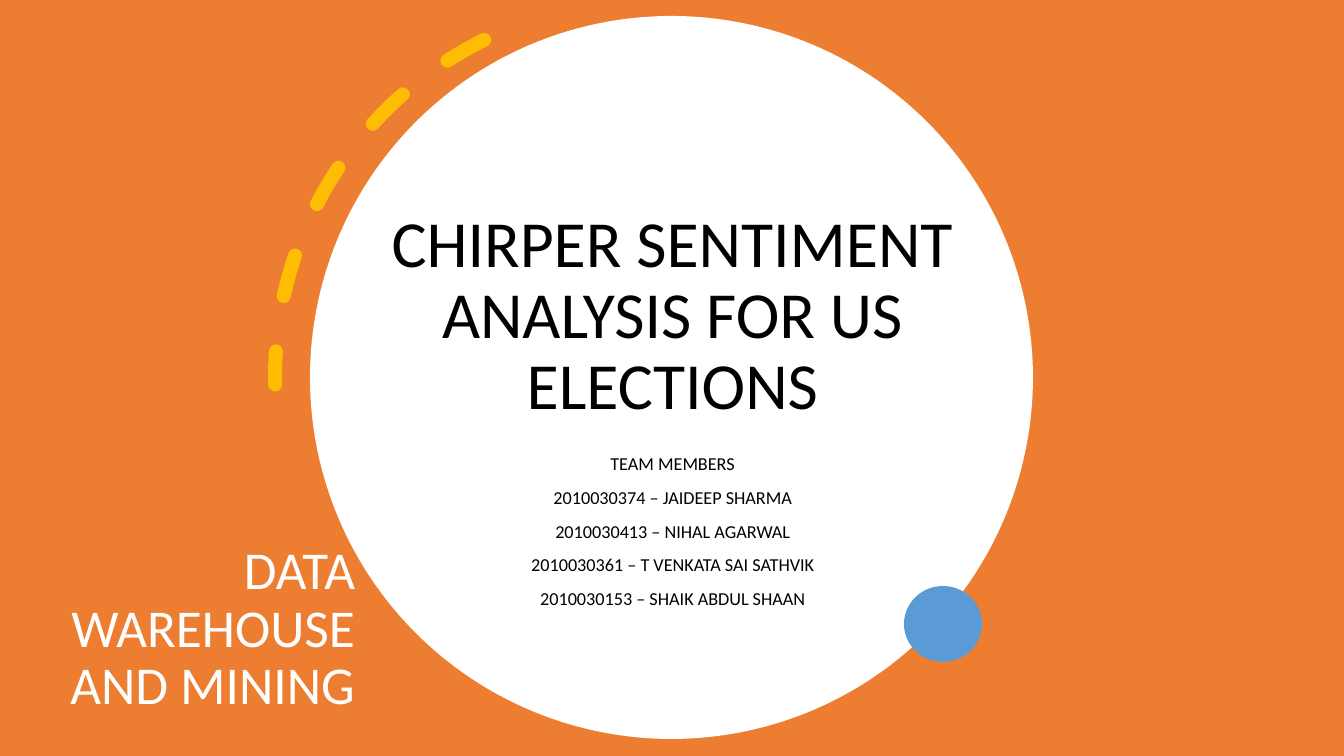
from lxml import etree
from pptx import Presentation
from pptx import util as u
from pptx.dml.color import RGBColor
from pptx.enum import dml, shapes, text
from pptx.oxml import ns

PX = 12192000 / 1344
FONT = "Calibri"
ORANGE = RGBColor(0xED, 0x7D, 0x31)
GOLD = RGBColor(0xFF, 0xC0, 0x00)
BLUE = RGBColor(0x5B, 0x9B, 0xD5)
WHITE = RGBColor(0xFF, 0xFF, 0xFF)
BLACK = RGBColor(0x00, 0x00, 0x00)

TITLE = ["CHIRPER SENTIMENT ANALYSIS FOR US ELECTIONS"]
TEAM = [
    "TEAM MEMBERS",
    "2010030374 – JAIDEEP SHARMA",
    "2010030413 – NIHAL AGARWAL",
    "2010030361 – T VENKATA SAI SATHVIK",
    "2010030153 – SHAIK ABDUL SHAAN",
]
COURSE = ["DATA WAREHOUSE AND MINING"]


def px(*lengths):
    """Turn pixel lengths into EMU."""
    return [u.Emu(round(length * PX)) for length in lengths]


def add_filled(slide, preset, box, colour):
    """Add a plain filled shape without an outline."""
    filled = slide.shapes.add_shape(preset, *px(*box))
    filled.shadow.inherit = False
    filled.fill.solid()
    filled.fill.fore_color.rgb = colour
    filled.line.fill.background()


def add_dashed_arc(slide, box, colour):
    """Add the thick dashed arc with rounded ends."""
    arc = slide.shapes.add_shape(shapes.MSO_SHAPE.ARC, *px(*box))
    arc.shadow.inherit = False
    arc.adjustments[0] = 162
    arc.adjustments[1] = 200.93
    arc.rotation = 153.7
    arc.fill.background()
    arc.line.width = u.Pt(10)
    arc.line.color.rgb = colour
    arc.line.dash_style = dml.MSO_LINE.DASH
    properties = arc.element.spPr
    properties.find(ns.qn("a:xfrm")).set("flipV", "1")
    outline = properties.find(ns.qn("a:ln"))
    outline.set("cap", "rnd")
    tint = outline.find(".//" + ns.qn("a:srgbClr"))
    etree.SubElement(tint, ns.qn("a:alpha")).set("val", "95000")


def add_text(slide, box, lines, size, colour, align, anchor, before=0, after=0):
    """Add a wrapped text box with one paragraph per line."""
    frame = slide.shapes.add_textbox(*px(*box)).text_frame
    frame.word_wrap = True
    frame.vertical_anchor = anchor
    frame.text = "\n".join(lines)
    for index, paragraph in enumerate(frame.paragraphs):
        paragraph.alignment = align
        paragraph.line_spacing = 0.9
        paragraph.space_before = u.Pt(before if index else 0)
        paragraph.space_after = u.Pt(after)
        for run in paragraph.runs:
            run.font.name = FONT
            run.font.size = u.Pt(size)
            run.font.color.rgb = colour


def main():
    """Build the title slide and save it."""
    deck = Presentation()
    deck.slide_width, deck.slide_height = px(1344, 756)
    slide = deck.slides.add_slide(deck.slide_layouts[6])
    preset, align, anchor = shapes.MSO_SHAPE, text.PP_ALIGN, text.MSO_ANCHOR

    add_filled(slide, preset.RECTANGLE, (0, 0, 1344, 756), ORANGE)
    add_filled(slide, preset.OVAL, (310, 16, 723, 723), WHITE)
    add_text(slide, (366, 152, 613, 277), TITLE, 47, BLACK,
             align.CENTER, anchor.BOTTOM)
    add_text(slide, (366, 450, 613, 169), TEAM, 13, BLACK,
             align.CENTER, anchor.TOP, before=10)
    add_dashed_arc(slide, (275, 1, 751, 751), GOLD)
    add_filled(slide, preset.OVAL, (904, 586, 78, 76), BLUE)
    add_text(slide, (12, 348, 353, 373), COURSE, 38, WHITE,
             align.RIGHT, anchor.BOTTOM, after=6)

    deck.save("out.pptx")


if __name__ == "__main__":
    main()
